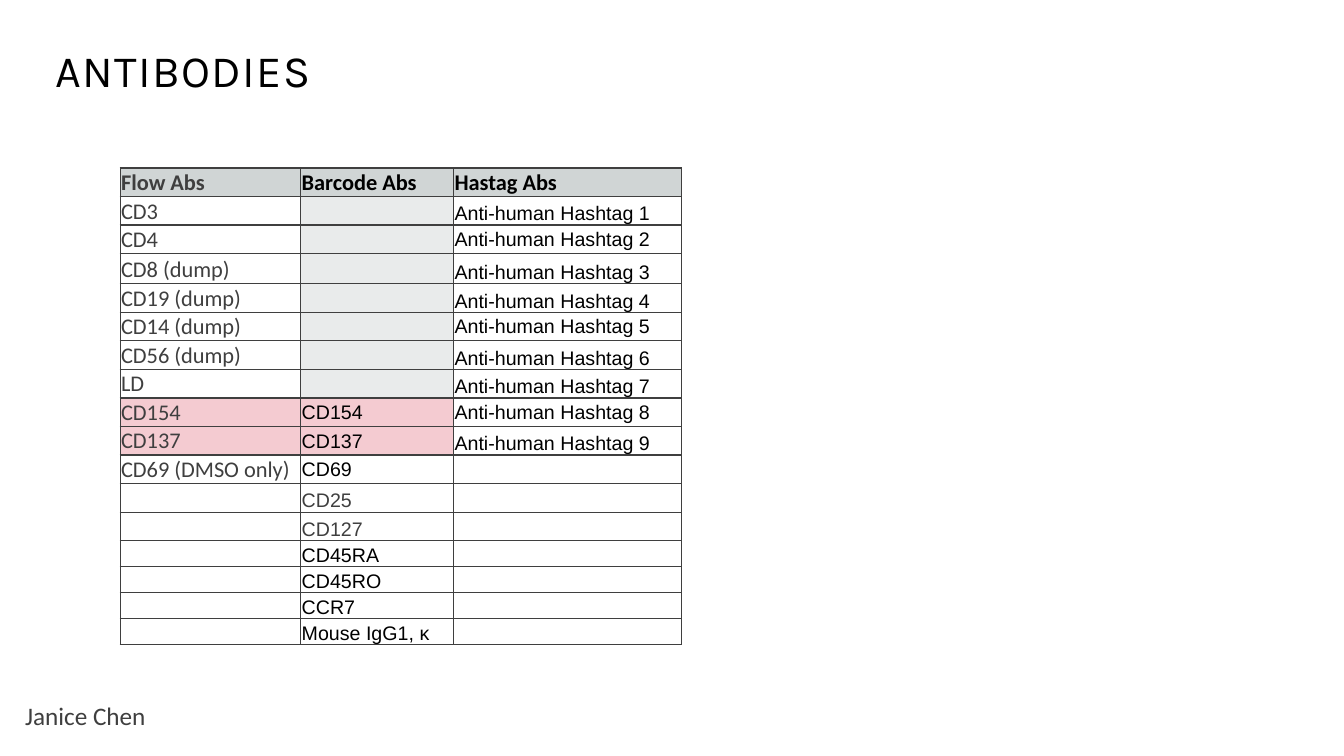
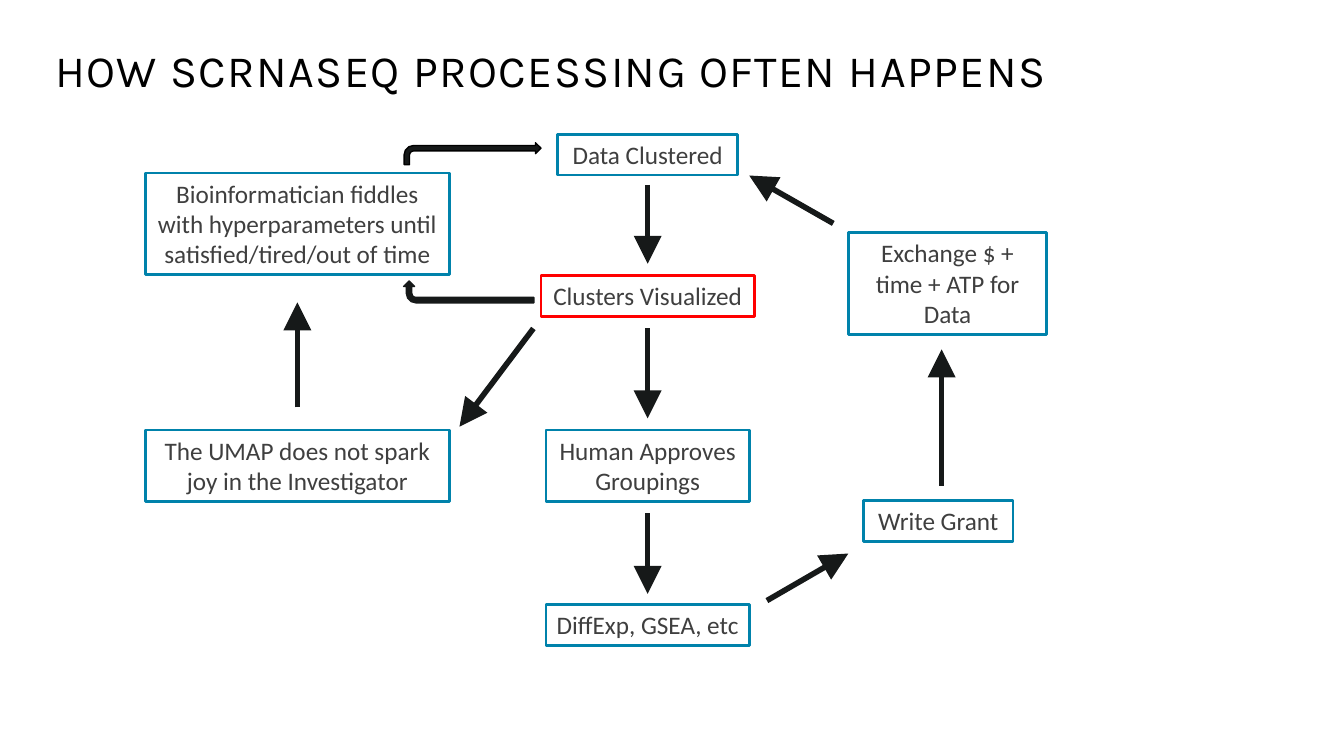
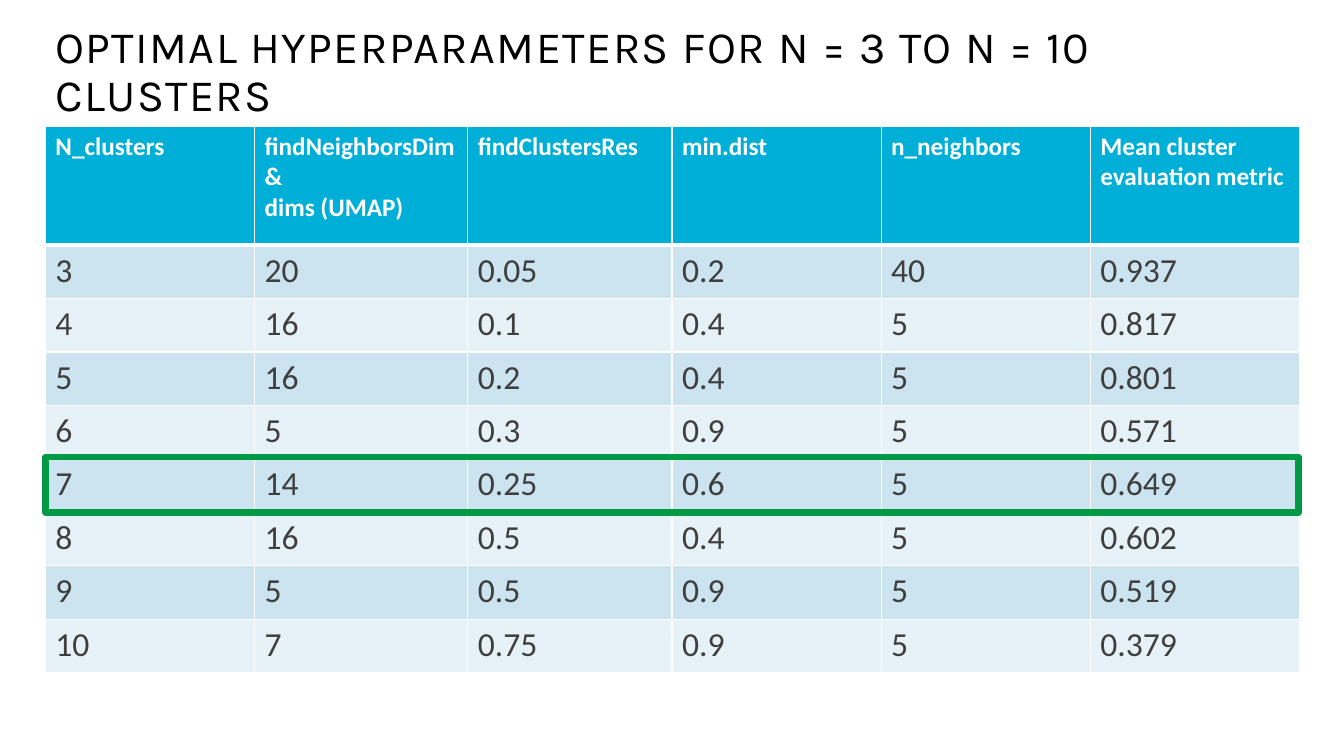
from dataclasses import dataclass
from lxml.etree import SubElement
from pptx import Presentation
from pptx.dml.color import RGBColor
from pptx.enum.shapes import MSO_CONNECTOR as CONN, MSO_SHAPE as SHAPE
from pptx.enum.text import MSO_ANCHOR as ANCHOR, PP_ALIGN as ALIGN
from pptx.oxml.ns import qn
from pptx.util import Inches, Pt


@dataclass(frozen=True)
class Theme:
    black: str = "000000"
    white: str = "FFFFFF"
    text: str = "3F3F3F"
    ink: str = "161919"
    box: str = "0082AB"
    alert: str = "FF0000"
    pick: str = "009A44"
    grey_head: str = "D0D5D5"
    grey_cell: str = "E9EBEB"
    pink: str = "F4CBD1"
    blue_head: str = "00AFD7"
    bands: tuple = ("CCE3F0", "E7F2F8")
    title_font: str = "Karla"
    body_font: str = "Calibri"
    label_font: str = "Arial"
    title_size: int = 32
    number_size: int = 24
    body_size: int = 18
    cell_size: int = 16
    label_size: int = 14


T = Theme()
COLS, ROWS = 160, 90

ANTIBODIES = {
    "Flow Abs": ["CD3", "CD4", "CD8 (dump)", "CD19 (dump)", "CD14 (dump)", "CD56 (dump)",
                 "LD", "CD154", "CD137", "CD69 (DMSO only)"] + [""] * 6,
    "Barcode Abs": [""] * 7 + ["CD154", "CD137", "CD69", "CD25", "CD127", "CD45RA",
                               "CD45RO", "CCR7", "Mouse IgG1, κ"],
    "Hastag Abs": [f"Anti-human Hashtag {n}" for n in range(1, 10)] + [""] * 7,
}

HYPERPARAMETERS = [
    ["N_clusters", "findNeighborsDim\n&\ndims (UMAP)", "findClustersRes", "min.dist",
     "n_neighbors", "Mean cluster evaluation metric"],
    ["3", "20", "0.05", "0.2", "40", "0.937"],
    ["4", "16", "0.1", "0.4", "5", "0.817"],
    ["5", "16", "0.2", "0.4", "5", "0.801"],
    ["6", "5", "0.3", "0.9", "5", "0.571"],
    ["7", "14", "0.25", "0.6", "5", "0.649"],
    ["8", "16", "0.5", "0.4", "5", "0.602"],
    ["9", "5", "0.5", "0.9", "5", "0.519"],
    ["10", "7", "0.75", "0.9", "5", "0.379"],
]


def rgb(color):
    return RGBColor.from_string(color)


def write(tf, text, size=T.body_size, font=T.body_font, color=T.text, bold=False,
          align=ALIGN.LEFT, anchor=ANCHOR.TOP, leading=None, tracking=None):
    tf.word_wrap = True
    tf.vertical_anchor = anchor
    p = tf.paragraphs[0]
    p.text = text
    p.alignment = align
    if leading:
        p.line_spacing = leading
    for r in p.runs:
        r.font.size, r.font.name, r.font.bold = Pt(size), font, bold
        r.font.color.rgb = rgb(color)
        if tracking:
            r._r.get_or_add_rPr().set("spc", str(tracking))
    if not text:
        SubElement(p._p, qn("a:endParaRPr"), sz=str(size * 100))


class Deck:
    """Draws styled elements on the current slide, placed on a grid of columns and rows."""

    def __init__(self, theme):
        self.t = theme
        self.prs = Presentation()
        self.prs.slide_width, self.prs.slide_height = Inches(13.33), Inches(7.5)

    def grid(self, x, y):
        return round(x * self.prs.slide_width / COLS), round(y * self.prs.slide_height / ROWS)

    def slide(self, title):
        self.s = self.prs.slides.add_slide(self.prs.slide_layouts[6])
        self.text(5.4, 4.8, 149.2, 7.8, title, size=self.t.title_size, color=self.t.black,
                  font=self.t.title_font, anchor=ANCHOR.MIDDLE, leading=0.9, tracking=100)

    def text(self, x, y, w, h, text, **fmt):
        sp = self.s.shapes.add_textbox(*self.grid(x, y), *self.grid(w, h))
        write(sp.text_frame, text, **fmt)

    def shape(self, kind, x, y, w, h, line, width, fill=None, rotation=0):
        sp = self.s.shapes.add_shape(kind, *self.grid(x, y), *self.grid(w, h))
        sp.shadow.inherit = False
        sp.rotation = rotation
        sp.line.color.rgb, sp.line.width = rgb(line), Pt(width)
        if fill:
            sp.fill.solid()
            sp.fill.fore_color.rgb = rgb(fill)
        else:
            sp.fill.background()
        return sp

    def step(self, center, top, width, lines, text, line=None):
        sp = self.shape(SHAPE.RECTANGLE, center - width / 2, top, width, 1.2 + 3.64 * lines,
                        line or self.t.box, 2)
        write(sp.text_frame, text, align=ALIGN.CENTER)

    def arrow(self, x1, y1, x2, y2):
        c = self.s.shapes.add_connector(CONN.STRAIGHT, *self.grid(x1, y1), *self.grid(x2, y2))
        c.line.color.rgb, c.line.width = rgb(self.t.ink), Pt(4)
        SubElement(c.line._get_or_add_ln(), qn("a:tailEnd"), type="triangle", w="lg", len="lg")
        SubElement(c._element.spPr, qn("a:effectLst"))

    def table(self, x, y, widths, heights, rows, style, border, head_rule=1, inset=None):
        frame = self.s.shapes.add_table(len(heights), len(widths), *self.grid(x, y),
                                        *self.grid(sum(widths), sum(heights)))
        tbl = frame.table
        tbl.first_row = tbl.horz_banding = False
        for col, w in zip(tbl.columns, widths):
            col.width = self.grid(w, 0)[0]
        for row, h in zip(tbl.rows, heights):
            row.height = self.grid(0, h)[1]
        for i, row in enumerate(rows):
            for j, text in enumerate(row):
                cell = tbl.cell(i, j)
                fill, anchor, fmt = style(i, j, text)
                write(cell.text_frame, text, **fmt)
                cell.vertical_anchor = anchor
                if inset is not None:
                    cell.margin_left = cell.margin_right = cell.margin_top = Inches(inset)
                    cell.margin_bottom = 0
                self.borders(cell, border, top=head_rule if i == 1 else 1,
                             bottom=head_rule if i == 0 else 1)
                cell.fill.solid()
                cell.fill.fore_color.rgb = rgb(fill)

    def borders(self, cell, color, top, bottom):
        tc_pr = cell._tc.get_or_add_tcPr()
        for side, width in (("L", 1), ("R", 1), ("T", top), ("B", bottom)):
            ln = SubElement(tc_pr, qn(f"a:ln{side}"), w=str(Pt(width)))
            SubElement(SubElement(ln, qn("a:solidFill")), qn("a:srgbClr"), val=color)


def antibody_style(i, j, text):
    middle = i % 3 == 2 if j == 2 else i in (2, 8, 9, 10)
    anchor = ANCHOR.MIDDLE if i == 0 or middle else ANCHOR.BOTTOM
    if i == 0:
        fill = T.grey_head
    elif j == 1 and i < 8:
        fill = T.grey_cell
    else:
        fill = T.pink if j < 2 and i in (8, 9) else T.white
    color = T.text if j == 0 or text in ("CD25", "CD127") else T.black
    if text and (i == 0 or j == 0):
        return fill, anchor, dict(size=T.cell_size, color=color, bold=i == 0)
    return fill, anchor, dict(size=T.label_size, color=color, font=T.label_font)


def hyperparameter_style(i, j, text):
    if i == 0:
        return T.blue_head, ANCHOR.TOP, dict(color=T.white, bold=True)
    return T.bands[(i - 1) % 2], ANCHOR.TOP, dict(size=T.number_size)


def antibodies(d):
    d.slide("ANTIBODIES")
    rows = [list(ANTIBODIES), *zip(*ANTIBODIES.values())]
    heights = [3.4] * 3 + [3.6] + [3.4] * 9 + [3.1] * 4
    d.table(14.3, 20, [21.5, 18.2, 27.1], heights, rows, antibody_style, T.text, inset=0.01)
    d.text(1.8, 82.8, 41.6, 4.8, "Janice Chen")


def processing(d):
    d.slide("HOW SCRNASEQ PROCESSING OFTEN HAPPENS")
    left, mid, right = 35.4, 77.1, 112.1
    for step in (
        (mid, 16, 21.4, 1, "Data Clustered"),
        (mid, 32.8, 25.4, 1, "Clusters Visualized", T.alert),
        (mid, 51.2, 24.2, 2, "Human Approves Groupings"),
        (mid, 72, 24.2, 1, "DiffExp, GSEA, etc"),
        (left, 20.6, 36.2, 3,
         "Bioinformatician fiddles with hyperparameters until satisfied/tired/out of time"),
        (left, 51.2, 36.2, 2, "The UMAP does not spark joy in the Investigator"),
        (right + 0.7, 27.7, 23.5, 3, "Exchange $ + time + ATP for Data"),
        (right - 0.4, 59.6, 17.8, 1, "Write Grant"),
    ):
        d.step(*step)
    for ends in (
        (mid, 22, mid, 31.4),
        (mid, 39.1, mid, 49.8),
        (mid, 61.1, mid, 70.7),
        (63.5, 39.1, 54.7, 50.8),
        (left, 48.5, left, 36),
        (91.3, 71.5, 101, 65.9),
        (right, 57.8, right, 41.6),
        (99.2, 26.6, 89.2, 20.9),
    ):
        d.arrow(*ends)
    d.shape(SHAPE.BENT_ARROW, 54.5, 27, 2.6, 15.5, T.ink, 1, T.ink, rotation=270)
    d.shape(SHAPE.BENT_ARROW, 48.1, 17, 16.3, 2.6, T.black, 1, T.ink)


def hyperparameters(d):
    d.slide("OPTIMAL HYPERPARAMETERS FOR N = 3 TO N = 10 CLUSTERS")
    widths = [24.9, 25.4, 24.3] + [24.9] * 3
    d.table(5.4, 15, widths, [14.2] + [6.36] * 8, HYPERPARAMETERS, hyperparameter_style,
            T.white, head_rule=3)
    d.shape(SHAPE.RECTANGLE, 5.4, 54.4, 149.2, 6.6, T.pick, 4.5)


def main():
    d = Deck(T)
    for build in (antibodies, processing, hyperparameters):
        build(d)
    d.prs.save("out.pptx")


if __name__ == "__main__":
    main()
